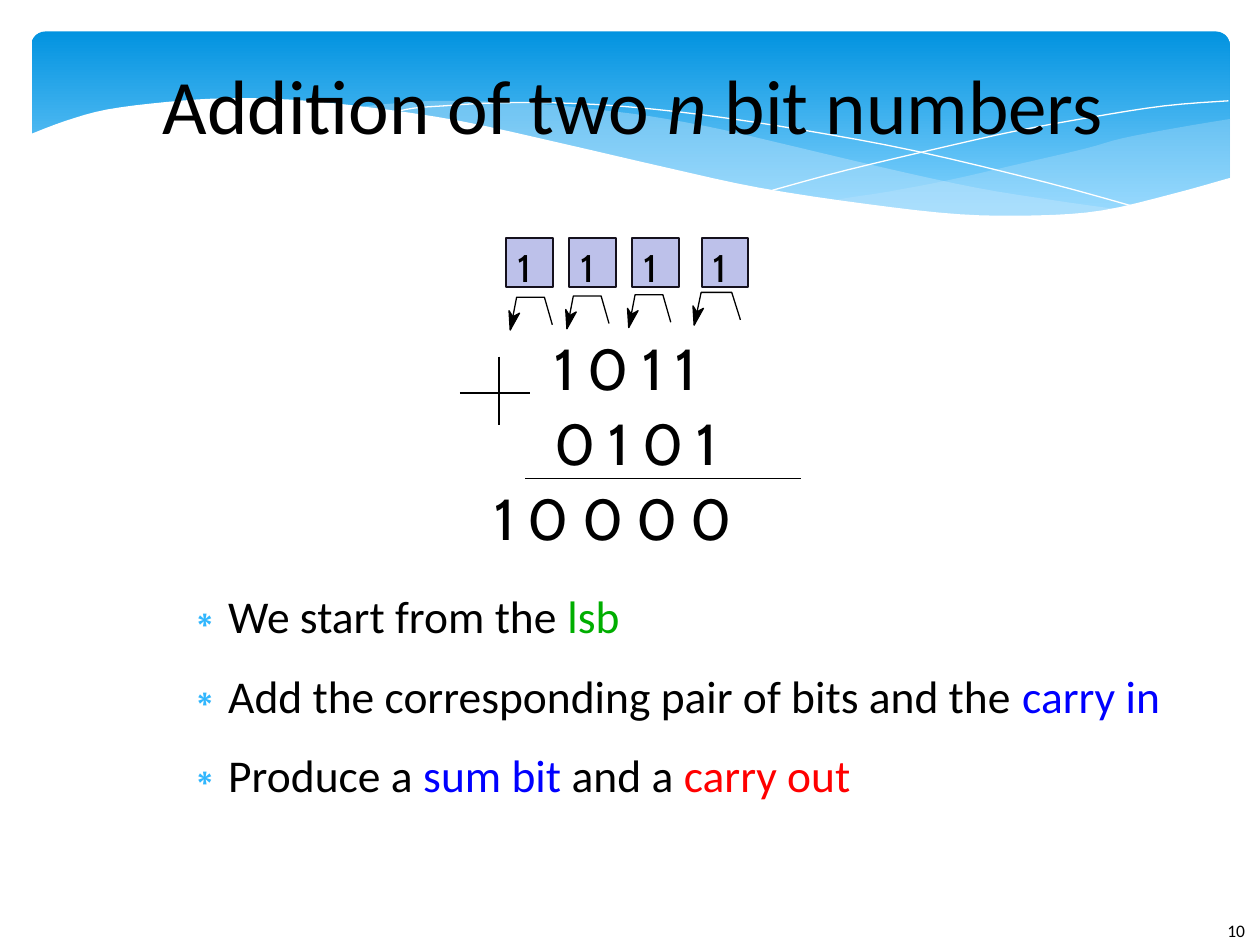
"""Build the slide on adding two n bit numbers."""
from dataclasses import dataclass, field

from lxml import etree
from pptx import Presentation
from pptx import util as u
from pptx.dml.color import RGBColor
from pptx.enum import shapes, text
from pptx.oxml.ns import qn

COLOURS = {
    "black": "000000", "white": "FFFFFF", "sky": "0293E0", "pale sky": "83D3FE",
    "mist": "C6E7FC", "bullet": "31B6FD", "green": "00AE00", "blue": "0000FF",
    "red": "FF0000", "box": "BDC1EA", "box edge": "15111D",
}

RIGHT_WAVE = [
    (703, 68), (673, 73), (641.5, 79), (620, 85), (580, 94.3), (542, 103),
    (508, 109.5), (476, 115.2), (507.6, 118.8), (536.4, 121.7), (570, 123.8),
    (601, 123.8), (628, 121.7), (651.6, 117.4), (673, 112.3), (703, 101.5),
]
LONG_WAVE = [
    (643, 120.2), (602.6, 114.5), (558, 107.3), (508, 96.5), (453, 83.5),
    (409.7, 73.4), (370, 66.2), (334.8, 61.9), (302.4, 59), (260, 57.6),
    (236, 58.3), (206, 61.9), (246, 67.7), (291, 76.3), (323, 83.5),
    (381.6, 97.2), (432.7, 108), (478.8, 115.9), (519.8, 121), (556.6, 123.8),
    (589, 124.6), (617, 123.1), (643, 120.2),
]
FALLING_LINE = [
    (222.5, 64.8), (236, 61.9), (254, 60.5), (278.6, 59), (311.8, 58.7),
    (352, 60.5), (400.3, 65.5), (457.9, 74.2), (523.4, 86.4), (598.3, 104.4),
    (653, 119.5),
]
RISING_LINE = [
    (441.4, 108.7), (483.8, 97.2), (538.6, 84.2), (580.3, 74.9), (623.5, 67),
    (665.3, 60.5), (702, 57.6),
]
BANNER_EDGE = [
    (703.4, 101.5), (669.6, 110.9), (630, 120.2), (592.6, 123.1), (548, 122.4),
    (495.4, 116.6), (434, 107.3), (381, 95.8), (321.8, 82.1), (262.8, 69.1),
    (210, 61.2), (165.6, 56.9), (127.4, 56.2), (95, 58.3), (61, 62.6),
    (37.4, 69.1), (16.6, 77),
]
CARRY_HOOK = [(24, -3), (19.5, -18.7), (3.6, -18.7), (0, 0)]
CARRY_HEAD = [(1.5, -7.5), (-0.7, -11), (0, 0), (5.3, -9.6)]
CARRIES = [
    (289.4, 291.6, 188.6, 1), (325.4, 324, 187.9, 1),
    (361.4, 359.3, 187.2, 1), (401, 396.7, 185.8, 1.1),
]
NUMBERS = [("1 0 1 1", 316.8, 190), ("0 1 0 1", 316.8, 233.3), ("1 0 0 0 0", 282.5, 275.8)]
STEPS = [
    [("We start from the ", "black"), ("lsb", "green")],
    [("Add the corresponding pair of bits and the ", "black"), ("carry in", "blue")],
    [("Produce a ", "black"), ("sum bit", "blue"), (" and a ", "black"), ("carry out", "red")],
]


def rgb(name):
    return RGBColor.from_string(COLOURS[name])


def smooth_curve(points, steps=4):
    """Return a Catmull-Rom curve through the points."""
    padded = [points[0], *points, points[-1]]
    curve = [points[0]]
    for a, b, c, d in zip(padded, padded[1:], padded[2:], padded[3:]):
        for t in (step / steps for step in range(1, steps + 1)):
            curve.append(tuple(
                0.5 * (2 * q + (r - p) * t + (2 * p - 5 * q + 4 * r - s) * t**2
                       + (3 * q - p - 3 * r + s) * t**3)
                for p, q, r, s in zip(a, b, c, d)))
    return curve


def add_run(paragraph, words, *, size, font="Calibri", colour="black", italic=False):
    """Add formatted text to a paragraph."""
    run = paragraph.add_run()
    run.text = words
    run.font.size, run.font.name, run.font.italic = u.Pt(size), font, italic
    run.font.color.rgb = rgb(colour)


@dataclass
class SlideBuilder:
    """Hold the style and the current slide."""
    slide: object
    title_size: float = 44
    body_size: float = 26
    number_font: str = "Cabin"
    margins: tuple = field(default=(0, 0, 0, 0))

    def frame(self, shape, wrap=True, anchor=text.MSO_ANCHOR.TOP):
        frame = shape.text_frame
        frame.word_wrap, frame.vertical_anchor = wrap, anchor
        frame.auto_size = text.MSO_AUTO_SIZE.NONE
        (frame.margin_left, frame.margin_top,
         frame.margin_right, frame.margin_bottom) = self.margins
        return frame

    def paint(self, shape, fill=None, line=None, width=0.75, opacity=None):
        shape.shadow.inherit = False
        if fill:
            shape.fill.solid()
            shape.fill.fore_color.rgb = rgb(fill)
        else:
            shape.fill.background()
        if opacity:
            colour = shape.element.spPr.find(".//" + qn("a:srgbClr"))
            etree.SubElement(colour, qn("a:alpha"), val=str(opacity * 1000))
        if line:
            shape.line.color.rgb, shape.line.width = rgb(line), u.Pt(width)
        else:
            shape.line.fill.background()

    def banner(self, left, top, width, height):
        banner = self.slide.shapes.add_shape(
            shapes.MSO_SHAPE.ROUNDED_RECTANGLE, *map(u.Pt, (left, top, width, height)))
        banner.adjustments[0] = 0.07
        self.paint(banner)
        banner.fill.gradient()
        banner.fill.gradient_angle = 270
        stops = zip(banner.fill.gradient_stops, ("sky", "pale sky"), (0, 0.9))
        for stop, colour, position in stops:
            stop.color.rgb, stop.position = rgb(colour), position

    def outline(self, points, close=True, **paint):
        start, *rest = [(u.Pt(x), u.Pt(y)) for x, y in points]
        builder = self.slide.shapes.build_freeform(*start, scale=1.0)
        builder.add_line_segments(rest, close=close)
        self.paint(builder.convert_to_shape(), **paint)

    def box(self, left, top, width, height):
        box = self.slide.shapes.add_shape(
            shapes.MSO_SHAPE.RECTANGLE, *map(u.Pt, (left, top, width, height)))
        self.paint(box, fill="box", line="box edge", width=1.13)

    def line(self, x1, y1, x2, y2):
        line = self.slide.shapes.add_connector(
            shapes.MSO_CONNECTOR.STRAIGHT, *map(u.Pt, (x1, y1, x2, y2)))
        line.line.color.rgb, line.line.width = rgb("black"), u.Pt(0.88)
        etree.SubElement(line.element.spPr, qn("a:effectLst"))

    def label(self, words, left, top, width, height, **style):
        label = self.slide.shapes.add_textbox(*map(u.Pt, (left, top, width, height)))
        add_run(self.frame(label, wrap=False).paragraphs[0], words, **style)

    def place(self, placeholder, left, top, width, height):
        placeholder.left, placeholder.top = u.Pt(left), u.Pt(top)
        placeholder.width, placeholder.height = u.Pt(width), u.Pt(height)
        self.slide.shapes.element.append(placeholder.element)

    def title(self, parts, *position):
        title = self.slide.shapes.title
        self.place(title, *position)
        paragraph = self.frame(title, anchor=text.MSO_ANCHOR.MIDDLE).paragraphs[0]
        paragraph.alignment = text.PP_ALIGN.CENTER
        for words, italic in parts:
            add_run(paragraph, words, size=self.title_size, italic=italic)

    def bullets(self, items, *position):
        body = self.slide.placeholders[1]
        self.place(body, *position)
        frame = self.frame(body)
        for index, parts in enumerate(items):
            paragraph = frame.add_paragraph() if index else frame.paragraphs[0]
            paragraph.space_before, paragraph.space_after = u.Pt(0), u.Pt(14.1)
            properties = paragraph._p.get_or_add_pPr()
            properties.set("marL", str(u.Pt(33.8)))
            properties.set("indent", str(u.Pt(-25.2)))
            colour = etree.SubElement(properties, qn("a:buClr"))
            etree.SubElement(colour, qn("a:srgbClr"), val=COLOURS["bullet"])
            etree.SubElement(properties, qn("a:buChar"), char="∗")
            for words, name in parts:
                add_run(paragraph, words, size=self.body_size, colour=name)

    def carry(self, box_left, tip_x, tip_y, stretch):
        hook, head = ([(tip_x + x * scale, tip_y + y) for x, y in points]
                      for points, scale in ((CARRY_HOOK, stretch), (CARRY_HEAD, 1)))
        self.outline(hook, close=False, line="black")
        self.outline(head, fill="black", line="black")
        self.box(box_left, 136.1, 26.4, 28)
        self.label("1", box_left + 6.2, 139.7, 22.3, 28.8, size=22, font=self.number_font)


def main():
    presentation = Presentation()
    presentation.slide_width, presentation.slide_height = u.Pt(720), u.Pt(540)
    builder = SlideBuilder(presentation.slides.add_slide(presentation.slide_layouts[1]))

    builder.banner(18, 18, 684.7, 112.3)
    for wave, opacity in ((RIGHT_WAVE, 29), (LONG_WAVE, 40)):
        builder.outline(smooth_curve(wave), fill="mist", opacity=opacity)
    for curve in (FALLING_LINE, RISING_LINE):
        builder.outline(smooth_curve(curve), close=False, line="white", width=0)
    builder.outline(smooth_curve(BANNER_EDGE) + [(16.6, 161), (703.4, 161)], fill="white")

    builder.label("10", 701.3, 525.6, 18, 14, size=10)
    builder.title([("Addition of two ", False), ("n ", True), ("bit numbers", False)],
                  69.8, 22.3, 583.9, 73.4)
    builder.bullets(STEPS, 95.8, 336.2, 624.2, 138.2)

    for digits, left, top in NUMBERS:
        builder.label(digits, left, top, 150, 45.4, size=33, font=builder.number_font)
    for ends in ((300.2, 273.4, 458, 273.4), (262.8, 224.5, 303, 224.5), (285.1, 203.8, 285.1, 242.6)):
        builder.line(*ends)
    for carry in CARRIES:
        builder.carry(*carry)
    presentation.save("out.pptx")


if __name__ == "__main__":
    main()
